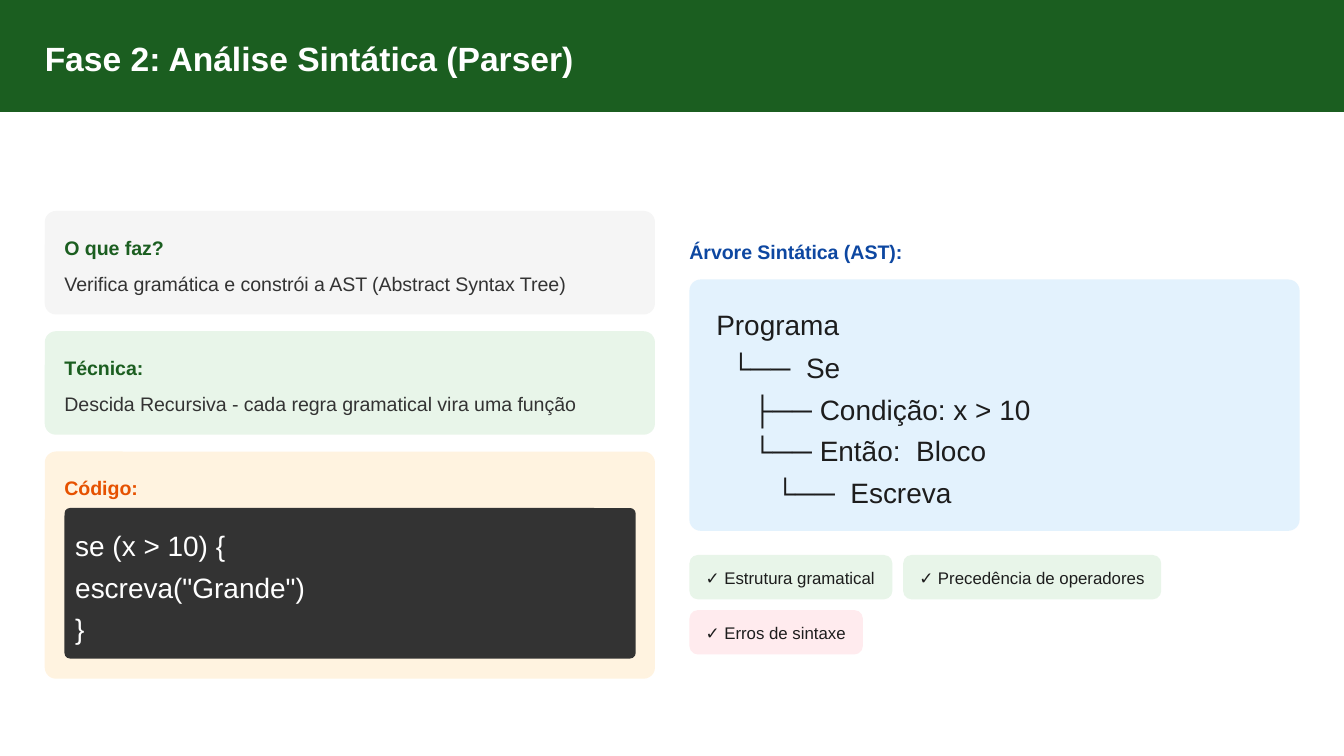
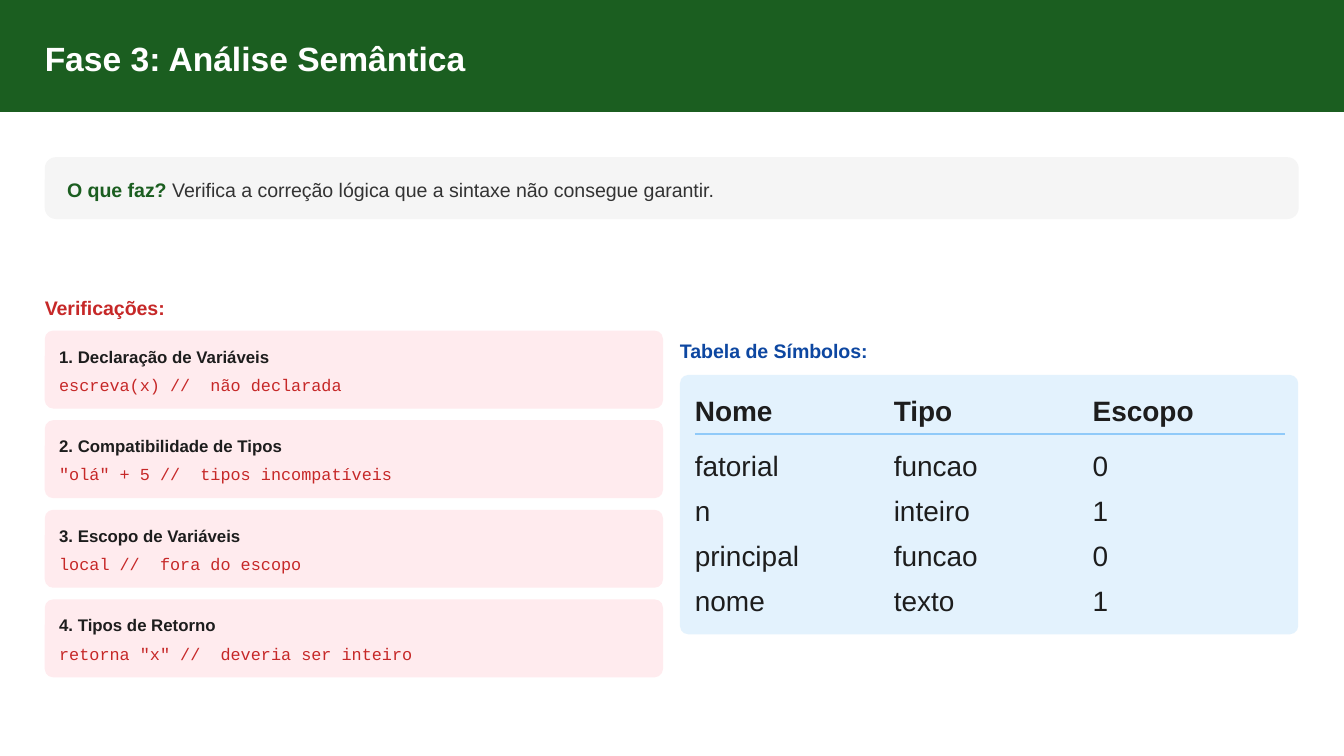
from dataclasses import dataclass
from typing import NamedTuple

from lxml import etree
from pptx import Presentation
from pptx.dml.color import RGBColor
from pptx.enum.shapes import MSO_CONNECTOR, MSO_SHAPE
from pptx.oxml.ns import qn
from pptx.slide import Slide
from pptx.text.text import TextFrame
from pptx.util import Inches, Pt

RECT = MSO_SHAPE.RECTANGLE
ROUND = MSO_SHAPE.ROUNDED_RECTANGLE
STRAIGHT = MSO_CONNECTOR.STRAIGHT
NO_GRID = "{2D5ABB26-0587-4C30-8999-92F81FD0307C}"


@dataclass(frozen=True)
class Theme:
    white: str = "FFFFFF"
    ink: str = "1D1D1D"
    dark: str = "333333"
    gray: str = "F5F5F5"
    green: str = "1B5E20"
    mint: str = "E8F5E9"
    orange: str = "E65100"
    cream: str = "FFF3E0"
    blue: str = "0D47A1"
    sky: str = "E3F2FD"
    rule: str = "90CAF9"
    red: str = "C62828"
    pink: str = "FFEBEE"
    sans: str = "Arial"
    mono: str = "Courier New"
    title: float = 18
    large: float = 15
    body: float = 10.5
    small: float = 9


T = Theme()
LEADING = {T.title: 24, T.large: 21, T.body: 15, T.small: 12}
WIDTH, HEIGHT = 10, 10 * 9 / 16
LEFT = 1 / 3
CARD_R, ITEM_R, CODE_R = 1 / 12, 1 / 16, 1 / 24


class Run(NamedTuple):
    text: str
    color: str
    bold: bool = False


class Card(NamedTuple):
    head: str
    body: str
    color: str
    fill: str
    height: float = 0.77


class Branch(NamedTuple):
    text: str
    left: float


class Chip(NamedTuple):
    text: str
    left: float
    top: float
    width: float
    fill: str


class Check(NamedTuple):
    head: str
    code: str


CARDS = [
    Card("O que faz?", "Verifica gramática e constrói a AST (Abstract Syntax Tree)",
         T.green, T.gray),
    Card("Técnica:", "Descida Recursiva - cada regra gramatical vira uma função",
         T.green, T.mint),
    Card("Código:", "", T.orange, T.cream, 1.69),
]
CODE = ["se (x > 10) {", 'escreva("Grande")', "}"]
TREE = [
    Branch("Programa", 5.33),
    Branch("└──  Se", 5.44),
    Branch("├── Condição: x > 10", 5.6),
    Branch("└── Então:  Bloco", 5.6),
    Branch("└──  Escreva", 5.77),
]
CHIPS = [
    Chip("✓ Estrutura gramatical", 5.13, 4.13, 1.51, T.mint),
    Chip("✓ Precedência de operadores", 6.72, 4.13, 1.92, T.mint),
    Chip("✓ Erros de sintaxe", 5.13, 4.54, 1.29, T.pink),
]
CHECKS = [
    Check("1. Declaração de Variáveis", "escreva(x) //  não declarada"),
    Check("2. Compatibilidade de Tipos", '"olá" + 5 //  tipos incompatíveis'),
    Check("3. Escopo de Variáveis", "local //  fora do escopo"),
    Check("4. Tipos de Retorno", 'retorna "x" //  deveria ser inteiro'),
]
SYMBOLS = [
    ("Nome", "Tipo", "Escopo"),
    ("fatorial", "funcao", "0"),
    ("n", "inteiro", "1"),
    ("principal", "funcao", "0"),
    ("nome", "texto", "1"),
]


def write(frame: TextFrame, *runs: Run, size: float, font: str = T.sans) -> None:
    """Fill the first paragraph of a frame with formatted runs."""
    para = frame.paragraphs[0]
    para.line_spacing = Pt(LEADING[size])
    for item in runs:
        run = para.add_run()
        run.text = item.text
        run.font.name = font
        run.font.size = Pt(size)
        run.font.bold = item.bold
        run.font.color.rgb = RGBColor.from_string(item.color)


def label(slide: Slide, left: float, top: float, width: float, *runs: Run,
          size: float = T.body, font: str = T.sans) -> None:
    """Place one line of text in a box without margins."""
    box = slide.shapes.add_textbox(Inches(left), Inches(top), Inches(width),
                                   Pt(LEADING[size]))
    frame = box.text_frame
    frame.margin_left = frame.margin_right = 0
    frame.margin_top = frame.margin_bottom = 0
    frame.word_wrap = True
    write(frame, *runs, size=size, font=font)


def panel(slide: Slide, left: float, top: float, width: float, height: float,
          fill: str, radius: float = 0) -> None:
    """Draw a plain box, its corners rounded by a radius in inches."""
    box = slide.shapes.add_shape(ROUND if radius else RECT, Inches(left),
                                 Inches(top), Inches(width), Inches(height))
    if radius:
        box.adjustments[0] = radius / min(width, height)
    box.shadow.inherit = False
    box.fill.solid()
    box.fill.fore_color.rgb = RGBColor.from_string(fill)
    box.line.fill.background()


def line(slide: Slide, left: float, right: float, top: float) -> None:
    rule = slide.shapes.add_connector(STRAIGHT, Inches(left), Inches(top),
                                      Inches(right), Inches(top))
    rule.line.color.rgb = RGBColor.from_string(T.rule)
    rule.line.width = Pt(0.75)
    etree.SubElement(rule._element.spPr, qn("a:effectLst"))


def page(deck: Presentation, title: str) -> Slide:
    """Add a slide with the title band."""
    slide = deck.slides.add_slide(deck.slide_layouts[6])
    panel(slide, 0, 0, WIDTH, 5 / 6, T.green)
    label(slide, LEFT, 0.25, 4.77, Run(title, T.white, True), size=T.title)
    return slide


def cards(slide: Slide) -> None:
    top = 1.57
    for card in CARDS:
        panel(slide, LEFT, top, 4.54, card.height, card.fill, CARD_R)
        label(slide, 0.48, top + 0.15, 4.33, Run(card.head, card.color, True))
        if card.body:
            label(slide, 0.48, top + 0.42, 4.33, Run(card.body, T.dark))
        top += card.height + 1 / 8


def code(slide: Slide) -> None:
    panel(slide, 0.48, 3.78, 4.25, 1.12, T.dark, CODE_R)
    for i, text in enumerate(CODE):
        label(slide, 0.56, 3.89 + 0.31 * i, 4.16, Run(text, T.white), size=T.large)


def tree(slide: Slide) -> None:
    label(slide, 5.13, 1.75, 4.63, Run("Árvore Sintática (AST):", T.blue, True))
    panel(slide, 5.13, 2.08, 4.54, 1.87, T.sky, CARD_R)
    for i, node in enumerate(TREE):
        label(slide, node.left, 2.25 + 1.25 * i / 4, 9.6 - node.left,
              Run(node.text, T.ink), size=T.large)


def chips(slide: Slide) -> None:
    for chip in CHIPS:
        panel(slide, chip.left, chip.top, chip.width, 0.33, chip.fill, ITEM_R)
        label(slide, chip.left + 0.12, chip.top + 0.08, chip.width - 0.22,
              Run(chip.text, T.ink), size=T.small)


def checks(slide: Slide) -> None:
    label(slide, LEFT, 2.17, 4.7, Run("Verificações:", T.red, True))
    for i, check in enumerate(CHECKS):
        top = 2.46 + 2 * i / 3
        panel(slide, LEFT, top, 4.6, 0.58, T.pink, ITEM_R)
        label(slide, 0.44, top + 0.1, 4.48, Run(check.head, T.ink, True),
              size=T.small)
        label(slide, 0.44, top + 0.31, 4.48, Run(check.code, T.red),
              size=T.small, font=T.mono)


def symbols(slide: Slide) -> None:
    label(slide, 5.06, 2.49, 4.7, Run("Tabela de Símbolos:", T.blue, True))
    panel(slide, 5.06, 2.79, 4.6, 1.93, T.sky, ITEM_R)
    rows, cols = len(SYMBOLS), len(SYMBOLS[0])
    table = slide.shapes.add_table(rows, cols, Inches(5.17), Inches(2.89),
                                   Inches(1.48 * cols), Inches(1.74)).table
    table.first_row = table.horz_banding = False
    table._tbl.tblPr.find(qn("a:tableStyleId")).text = NO_GRID
    for r, values in enumerate(SYMBOLS):
        table.rows[r].height = Inches(1 / 3 if r else 0.41)
        for c, value in enumerate(values):
            cell = table.cell(r, c)
            cell.fill.background()
            cell.margin_left = cell.margin_right = 0
            cell.margin_top = cell.margin_bottom = 0
            write(cell.text_frame, Run(value, T.ink, r == 0), size=T.large)
    line(slide, 5.17, 9.56, 3.23)


def syntax(deck: Presentation) -> None:
    slide = page(deck, "Fase 2: Análise Sintática (Parser)")
    cards(slide)
    code(slide)
    tree(slide)
    chips(slide)


def meaning(deck: Presentation) -> None:
    slide = page(deck, "Fase 3: Análise Semântica")
    panel(slide, LEFT, 1.17, 9.33, 0.46, T.gray, CARD_R)
    label(slide, 0.5, 1.29, 9.18, Run("O que faz?", T.green, True),
          Run(" Verifica a correção lógica que a sintaxe não consegue garantir.",
              T.dark))
    checks(slide)
    symbols(slide)


def main() -> None:
    deck = Presentation()
    deck.slide_width, deck.slide_height = Inches(WIDTH), Inches(HEIGHT)
    syntax(deck)
    meaning(deck)
    deck.save("out.pptx")


if __name__ == "__main__":
    main()
